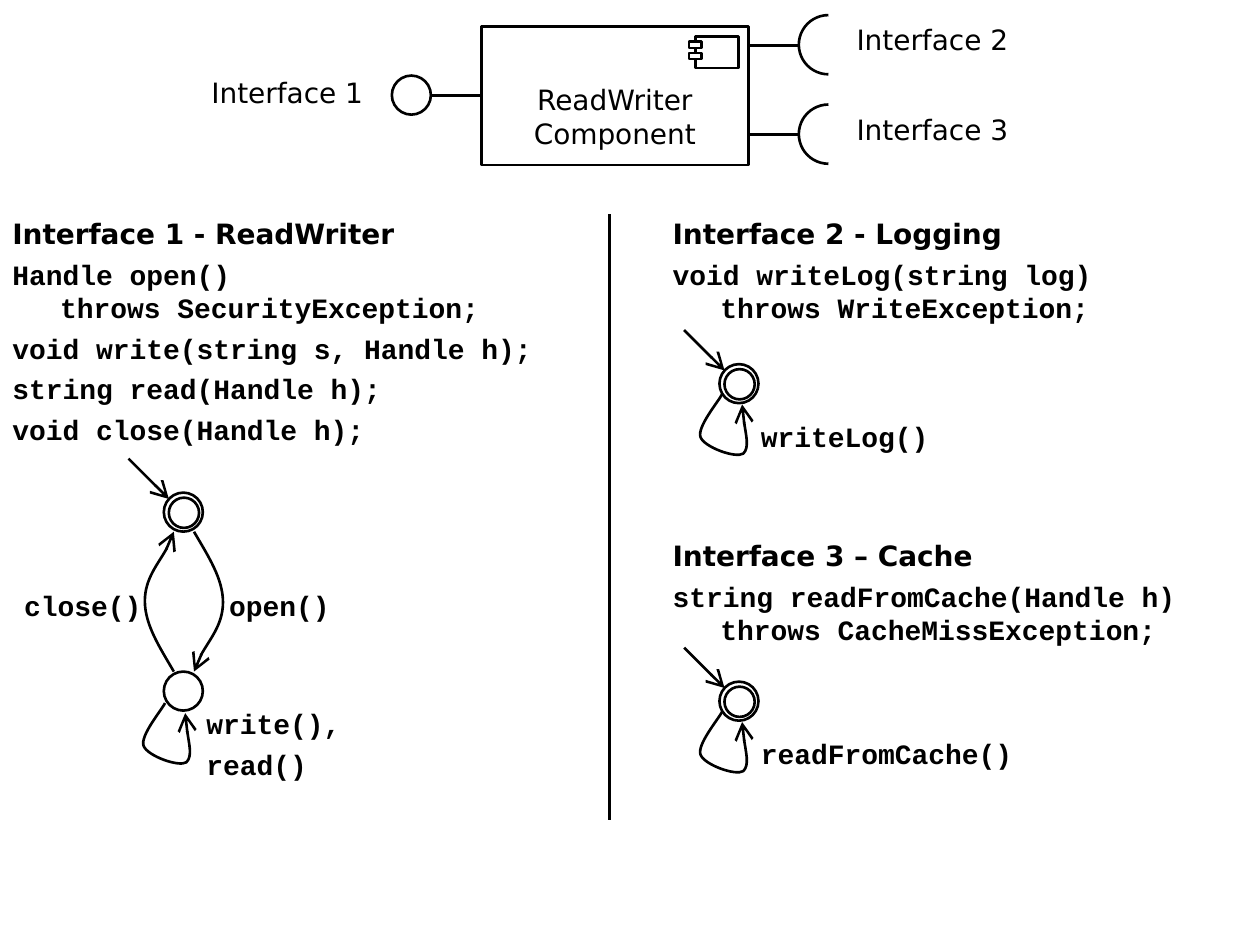
from copy import deepcopy

from lxml.etree import SubElement
from pptx import Presentation
from pptx.dml.color import RGBColor
from pptx.enum.shapes import MSO_CONNECTOR, MSO_SHAPE
from pptx.enum.text import MSO_ANCHOR, PP_ALIGN
from pptx.oxml.ns import qn
from pptx.util import Inches, Pt

BLACK = RGBColor(0x00, 0x00, 0x00)
WHITE = RGBColor(0xFF, 0xFF, 0xFF)
SANS = "DejaVu Sans"
MONO = "Courier New"

STATE_SIZE = 0.31
LOOP = [(0.2, 0), (0.17, 0.06), (0, 0.26), (0.03, 0.34), (0.06, 0.42),
        (0.31, 0.51), (0.37, 0.47), (0.42, 0.42), (0.36, 0.16), (0.36, 0.08)]
OPEN_CURVE = [(1.54, 4.22), (1.65, 4.41), (1.77, 4.59), (1.77, 4.78),
              (1.77, 4.96), (1.55, 5.23), (1.54, 5.33)]
CLOSE_CURVE = [(2.92 - x, 9.55 - y) for x, y in OPEN_CURVE]


def heading(text, space=4):
    return text, SANS, True, space


def signature(text):
    return text, MONO, True, 4


class DiagramSlide:
    line_width = Pt(1.5)
    font_size = Pt(16)

    def __init__(self, presentation):
        self.slide = presentation.slides.add_slide(presentation.slide_layouts[6])
        self.shapes = self.slide.shapes

    def outline(self, shape, arrow=False):
        shape.line.color.rgb = BLACK
        shape.line.width = self.line_width
        if arrow:
            SubElement(shape.line._get_or_add_ln(), qn("a:tailEnd"), type="arrow", w="lg", len="lg")

    def shape(self, kind, left, top, width, height, fill=None):
        shape = self.shapes.add_shape(kind, *map(Inches, (left, top, width, height)))
        shape.shadow.inherit = False
        if fill is None:
            shape.fill.background()
        else:
            shape.fill.solid()
            shape.fill.fore_color.rgb = fill
        self.outline(shape)
        return shape

    def line(self, start, end, arrow=False):
        connector = self.shapes.add_connector(MSO_CONNECTOR.STRAIGHT, *map(Inches, (*start, *end)))
        self.outline(connector, arrow)
        SubElement(connector._element.spPr, qn("a:effectLst"))

    def curve_arrow(self, controls):
        points = [(Inches(x), Inches(y)) for x, y in controls]
        builder = self.shapes.build_freeform(*points[0])
        builder.add_line_segments(points[1:], close=False)
        shape = builder.convert_to_shape()
        outline_path = next(shape._element.iter(qn("a:path")))
        segments = outline_path.findall(qn("a:lnTo"))
        for start in range(0, len(segments), 3):
            cubic = SubElement(outline_path, qn("a:cubicBezTo"))
            for segment in segments[start:start + 3]:
                cubic.append(segment[0])
                outline_path.remove(segment)
        shape.shadow.inherit = False
        shape.fill.background()
        self.outline(shape, arrow=True)

    def text(self, left, top, width, height, lines, align=PP_ALIGN.LEFT, margin=0.1, indent=0.38):
        box = self.shapes.add_textbox(*map(Inches, (left, top, width, height)))
        frame_format = {"word_wrap": True, "vertical_anchor": MSO_ANCHOR.TOP,
                        "margin_left": Inches(margin), "margin_right": Inches(margin)}
        for name, value in frame_format.items():
            setattr(box.text_frame, name, value)
        for index, (text, font, bold, space) in enumerate(lines):
            paragraph = box.text_frame.paragraphs[0] if index == 0 else box.text_frame.add_paragraph()
            paragraph.text = text
            paragraph.alignment = align
            paragraph.space_before = Pt(space)
            properties = paragraph._p.get_or_add_pPr()
            properties.set("marL", str(Inches(indent)))
            properties.set("indent", str(-Inches(indent)))
            font_format = {"name": font, "size": self.font_size, "bold": bold}
            for run in paragraph.runs:
                for name, value in font_format.items():
                    setattr(run.font, name, value)
                run.font.color.rgb = BLACK
            for line_break in paragraph._p.findall(qn("a:br")):
                line_break.append(deepcopy(paragraph.runs[0]._r.rPr))

    def label(self, left, top, width, height, text):
        self.text(left, top, width, height, [(text, SANS, False, 10)],
                  PP_ALIGN.CENTER, margin=0, indent=0)

    def code(self, left, top, width, height, *lines, align=PP_ALIGN.LEFT):
        self.text(left, top, width, height, [signature(line) for line in lines], align)

    def socket(self, top, text):
        middle = top + 0.24
        self.line((5.94, middle), (6.34, middle))
        arc = self.shape(MSO_SHAPE.ARC, 6.34, top, 0.47, 0.47)
        arc.adjustments[0] = 54
        arc.adjustments[1] = 162
        self.label(6.65, top + 0.01, 1.5, 0.39, text)

    def state(self, left, top):
        self.shape(MSO_SHAPE.OVAL, left, top, STATE_SIZE, STATE_SIZE)

    def start_state(self, left, top):
        self.state(left, top)
        self.shape(MSO_SHAPE.OVAL, left + 0.04, top + 0.04, 0.24, 0.24)
        self.line((left - 0.28, top - 0.27), (left + 0.04, top + 0.05), arrow=True)

    def loop(self, left, top):
        self.curve_arrow([(left + x, top + y) for x, y in LOOP])

    def single_state_machine(self, top, call, width):
        self.start_state(5.71, top)
        self.loop(5.53, top + 0.24)
        self.code(5.94, top + 0.39, width, 0.31, call)


def draw_component(diagram):
    diagram.shape(MSO_SHAPE.RECTANGLE, 3.82, 0.21, 2.12, 1.1)
    diagram.label(3.82, 0.61, 2.12, 0.64, "ReadWriter\nComponent")
    diagram.shape(MSO_SHAPE.RECTANGLE, 5.52, 0.29, 0.34, 0.25, WHITE)
    for top in (0.33, 0.42):
        diagram.shape(MSO_SHAPE.RECTANGLE, 5.47, top, 0.1, 0.05, WHITE)
    diagram.label(1.53, 0.55, 1.5, 0.39, "Interface 1")
    diagram.shape(MSO_SHAPE.OVAL, 3.11, 0.6, STATE_SIZE, STATE_SIZE)
    diagram.line((3.42, 0.76), (3.82, 0.76))
    diagram.socket(0.12, "Interface 2")
    diagram.socket(0.83, "Interface 3")


def draw_read_writer(diagram):
    diagram.text(0, 1.67, 5, 1.92, [
        heading("Interface 1 - ReadWriter"),
        signature("Handle open()\nthrows SecurityException;"),
        signature("void write(string s, Handle h);"),
        signature("string read(Handle h);"),
        signature("void close(Handle h);"),
    ])
    diagram.start_state(1.3, 3.91)
    diagram.state(1.3, 5.33)
    diagram.curve_arrow(OPEN_CURVE)
    diagram.curve_arrow(CLOSE_CURVE)
    diagram.loop(1.11, 5.58)
    diagram.code(1.72, 4.62, 1.1, 0.39, "open()")
    diagram.code(0.04, 4.62, 1.18, 0.39, "close()", align=PP_ALIGN.RIGHT)
    diagram.code(1.54, 5.56, 1.5, 0.71, "write(),", "read()")


def draw_required_interfaces(diagram):
    diagram.text(5.24, 1.67, 4.76, 4.57, [
        heading("Interface 2 - Logging"),
        signature("void writeLog(string log)\nthrows WriteException;"),
        heading("Interface 3 – Cache", space=122.5),
        signature("string readFromCache(Handle h) throws CacheMissException;"),
    ])
    diagram.single_state_machine(2.89, "writeLog()", 1.57)
    diagram.single_state_machine(5.41, "readFromCache()", 2.28)


def main():
    presentation = Presentation()
    presentation.slide_width = Inches(10)
    presentation.slide_height = Inches(7.5)
    diagram = DiagramSlide(presentation)
    draw_component(diagram)
    draw_read_writer(diagram)
    diagram.line((4.84, 1.7), (4.84, 6.51))
    draw_required_interfaces(diagram)
    presentation.save("out.pptx")


if __name__ == "__main__":
    main()
